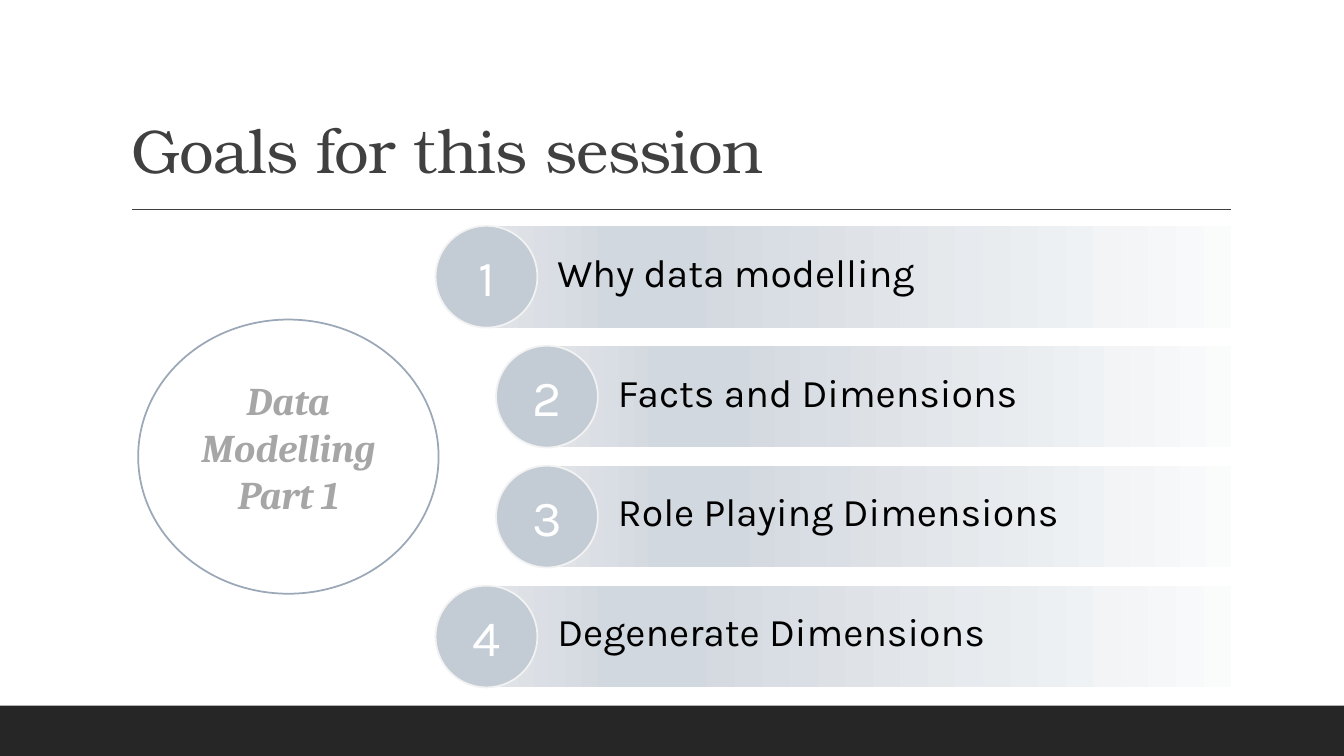
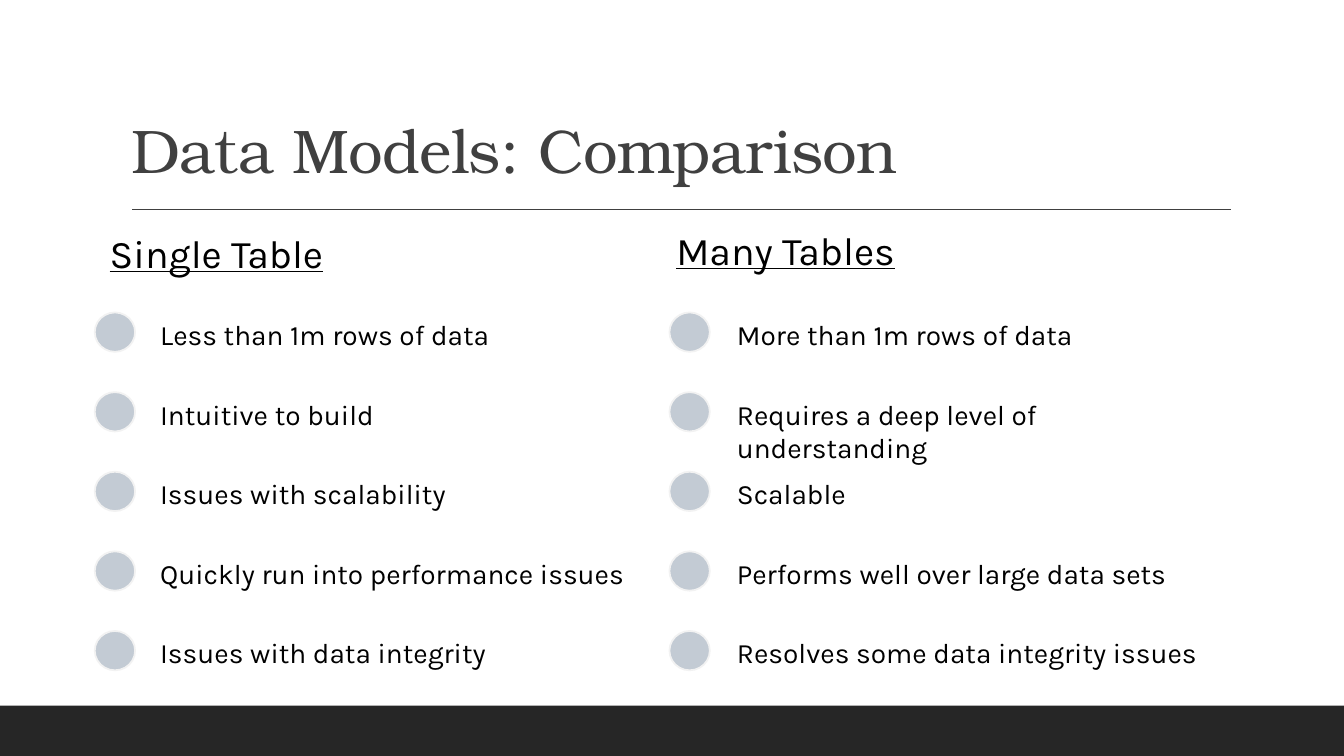
from lxml.etree import SubElement
from pptx import Presentation
from pptx.dml.color import RGBColor
from pptx.enum.shapes import MSO_CONNECTOR, MSO_SHAPE
from pptx.enum.text import MSO_ANCHOR, MSO_AUTO_SIZE, PP_ALIGN
from pptx.oxml.ns import qn
from pptx.util import Inches, Pt

COLOURS = {
    "band": "262626",
    "title": "404040",
    "text": "000000",
    "white": "FFFFFF",
    "disc": "C3CBD4",
    "disc_edge": "F2F2F2",
    "ring": "9BA8B7",
    "topic": "A6A6A6",
}
BAR_STOPS = [(0, "FAFBFB"), (74, "D2D8DF"), (83, "D2D8DF"), (100, "E1E5E9")]
TITLE_FONT, BODY_FONT, TOPIC_FONT = "TeX Gyre Bonum", "Karla", "Cambria"
RULE_LEFT, RULE_RIGHT, RULE_TOP = 1.31, 12.21, 2.08

GOALS = [
    ("Why data modelling", 0),
    ("Facts and Dimensions", 0.6),
    ("Role Playing Dimensions", 0.6),
    ("Degenerate Dimensions", 0),
]
GOAL_TOP, GOAL_STEP, GOAL_SIZE = 2.24, 1.19, 1.01

SINGLE_TABLE = [
    "Less than 1m rows of data",
    "Intuitive to build",
    "Issues with scalability",
    "Quickly run into performance issues",
    "Issues with data integrity",
]
MANY_TABLES = [
    "More than 1m rows of data",
    "Requires a deep level of understanding",
    "Scalable",
    "Performs well over large data sets",
    "Resolves some data integrity issues",
]
POINT_TOP, POINT_STEP = 3.1, 0.79


def colour(name):
    """Return the named palette colour."""
    return RGBColor.from_string(COLOURS[name])


def write(frame, text, size=28, font=BODY_FONT, ink="text", align=PP_ALIGN.LEFT,
          anchor=MSO_ANCHOR.TOP, bold=False, italic=False, underline=False):
    """Fill a text frame with one formatted paragraph and return its run."""
    frame.word_wrap = True
    frame.auto_size = MSO_AUTO_SIZE.NONE
    frame.vertical_anchor = anchor
    para = frame.paragraphs[0]
    para.alignment = align
    span = para.add_run()
    span.text = text
    span.font.name = font
    span.font.size = Pt(size)
    span.font.bold = bold
    span.font.italic = italic
    span.font.underline = underline
    span.font.color.rgb = colour(ink)
    return span


def add_label(page, text, left, top, width, height, **style):
    """Add a wrapping text box."""
    box = page.shapes.add_textbox(Inches(left), Inches(top), Inches(width), Inches(height))
    write(box.text_frame, text, **style)


def add_figure(page, kind, left, top, width, height, fill=None, edge=None):
    """Add a preset shape with an optional solid fill and outline."""
    shape = page.shapes.add_shape(
        kind, Inches(left), Inches(top), Inches(width), Inches(height))
    shape.shadow.inherit = False
    if fill:
        shape.fill.solid()
        shape.fill.fore_color.rgb = colour(fill)
    if edge:
        shape.line.color.rgb = colour(edge)
        shape.line.width = Pt(1.25)
    else:
        shape.line.fill.background()
    return shape


def add_disc(page, left, top, width, height):
    """Add a filled disc with a pale edge."""
    return add_figure(page, MSO_SHAPE.OVAL, left, top, width, height, "disc", "disc_edge")


def add_bar(page, left, top):
    """Add a bar that fades out towards the right end of the title rule."""
    bar = add_figure(page, MSO_SHAPE.RECTANGLE, left, top, RULE_RIGHT - left, GOAL_SIZE)
    bar.fill.gradient()
    bar.fill.gradient_angle = 180
    stops = next(bar.element.iter(qn("a:gsLst")))
    for stop in list(stops):
        stops.remove(stop)
    for position, shade in BAR_STOPS:
        stop = SubElement(stops, qn("a:gs"), pos=str(position * 1000))
        SubElement(stop, qn("a:srgbClr"), val=shade)


def add_page(deck, text):
    """Add a page with the shared band, rule and title."""
    page = deck.slides.add_slide(deck.slide_layouts[5])
    add_figure(page, MSO_SHAPE.RECTANGLE, 0, 7, 13.33, 0.5, "band")
    rule = page.shapes.add_connector(
        MSO_CONNECTOR.STRAIGHT, Inches(RULE_LEFT), Inches(RULE_TOP),
        Inches(RULE_RIGHT), Inches(RULE_TOP))
    rule.line.color.rgb = colour("title")
    rule.line.width = Pt(1)
    SubElement(rule.element.spPr, qn("a:effectLst"))
    title = page.shapes.title
    title.left, title.top = Inches(1.2), Inches(0.31)
    title.width, title.height = Inches(11), Inches(1.59)
    span = write(title.text_frame, text, size=44, font=TITLE_FONT, ink="title",
                 anchor=MSO_ANCHOR.BOTTOM)
    span.font._element.set("spc", "-50")
    title.text_frame.paragraphs[0].line_spacing = 0.9
    return page


def add_goal(page, number, text, indent):
    """Add one numbered goal on its fading bar."""
    top = GOAL_TOP + (number - 1) * GOAL_STEP
    left = 4.82 + indent
    label_left = left + 0.61
    add_bar(page, left, top)
    add_label(page, text, label_left, top + 0.17, RULE_RIGHT - label_left, 0.57)
    disc = add_disc(page, left - 0.5, top, GOAL_SIZE, GOAL_SIZE)
    write(disc.text_frame, str(number), size=36, ink="white",
          align=PP_ALIGN.CENTER, anchor=MSO_ANCHOR.MIDDLE)


def add_column(page, heading, points, heading_left, heading_top, disc_left, text_left):
    """Add an underlined heading above a column of points with discs."""
    add_label(page, heading, heading_left, heading_top, 4.9, 0.57, underline=True)
    for row, point in enumerate(points):
        top = POINT_TOP + row * POINT_STEP
        add_disc(page, disc_left, top, 0.4, 0.39)
        add_label(page, point, text_left, top, 4.99, 0.44, size=20)


def main():
    """Build and save the deck."""
    deck = Presentation()
    deck.slide_width, deck.slide_height = Inches(13.33), Inches(7.5)

    goals = add_page(deck, "Goals for this session")
    add_figure(goals, MSO_SHAPE.OVAL, 1.37, 3.17, 2.98, 2.72, "white", "ring")
    add_label(goals, "Data Modelling Part 1", 1.67, 3.68, 2.38, 1.51, font=TOPIC_FONT,
              ink="topic", align=PP_ALIGN.CENTER, bold=True, italic=True)
    for number, (text, indent) in enumerate(GOALS, start=1):
        add_goal(goals, number, text, indent)

    comparison = add_page(deck, "Data Models: Comparison")
    add_column(comparison, "Single Table", SINGLE_TABLE, 0.99, 2.23, 0.94, 1.49)
    add_column(comparison, "Many Tables", MANY_TABLES, 6.61, 2.2, 6.64, 7.21)

    deck.save("out.pptx")


if __name__ == "__main__":
    main()
